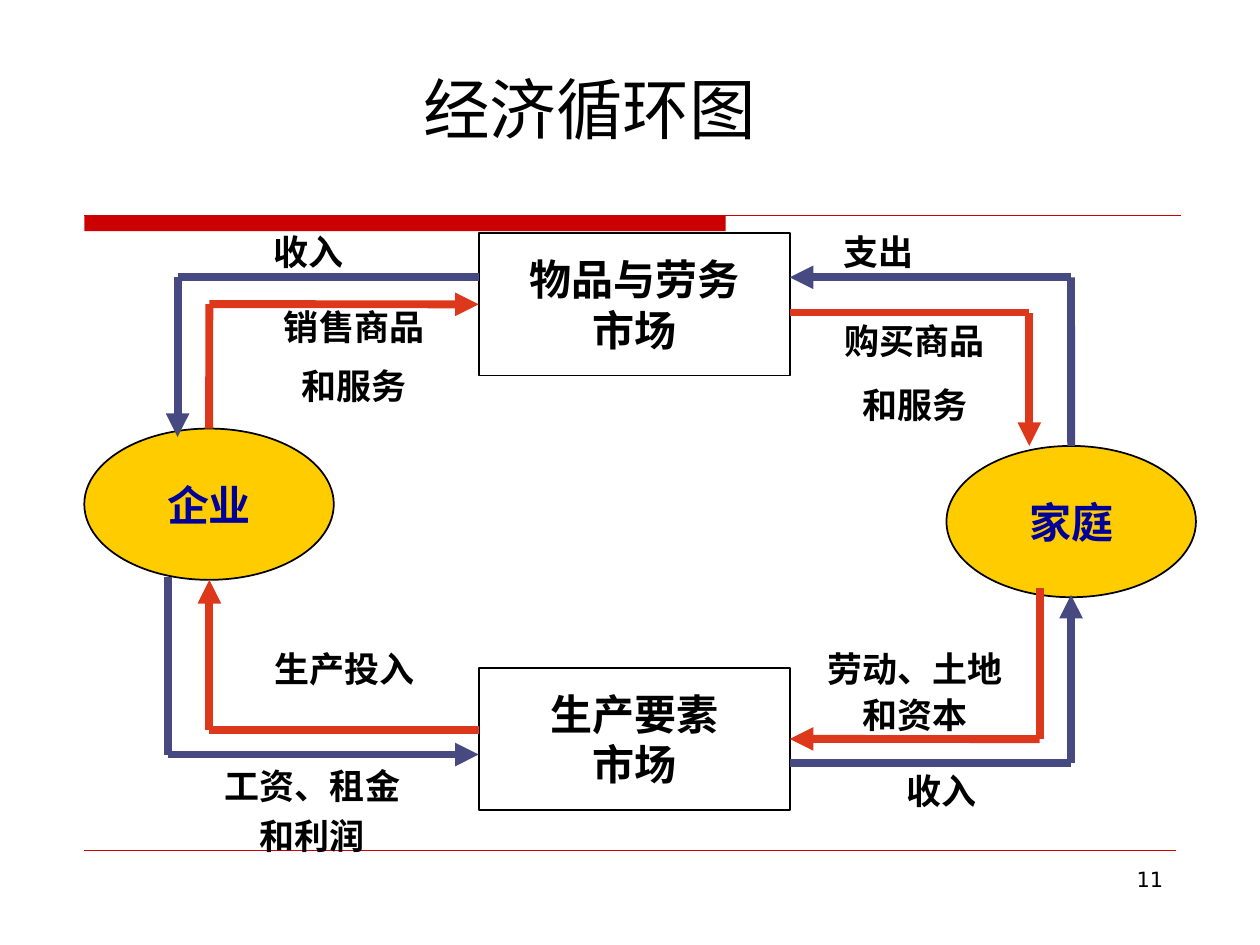
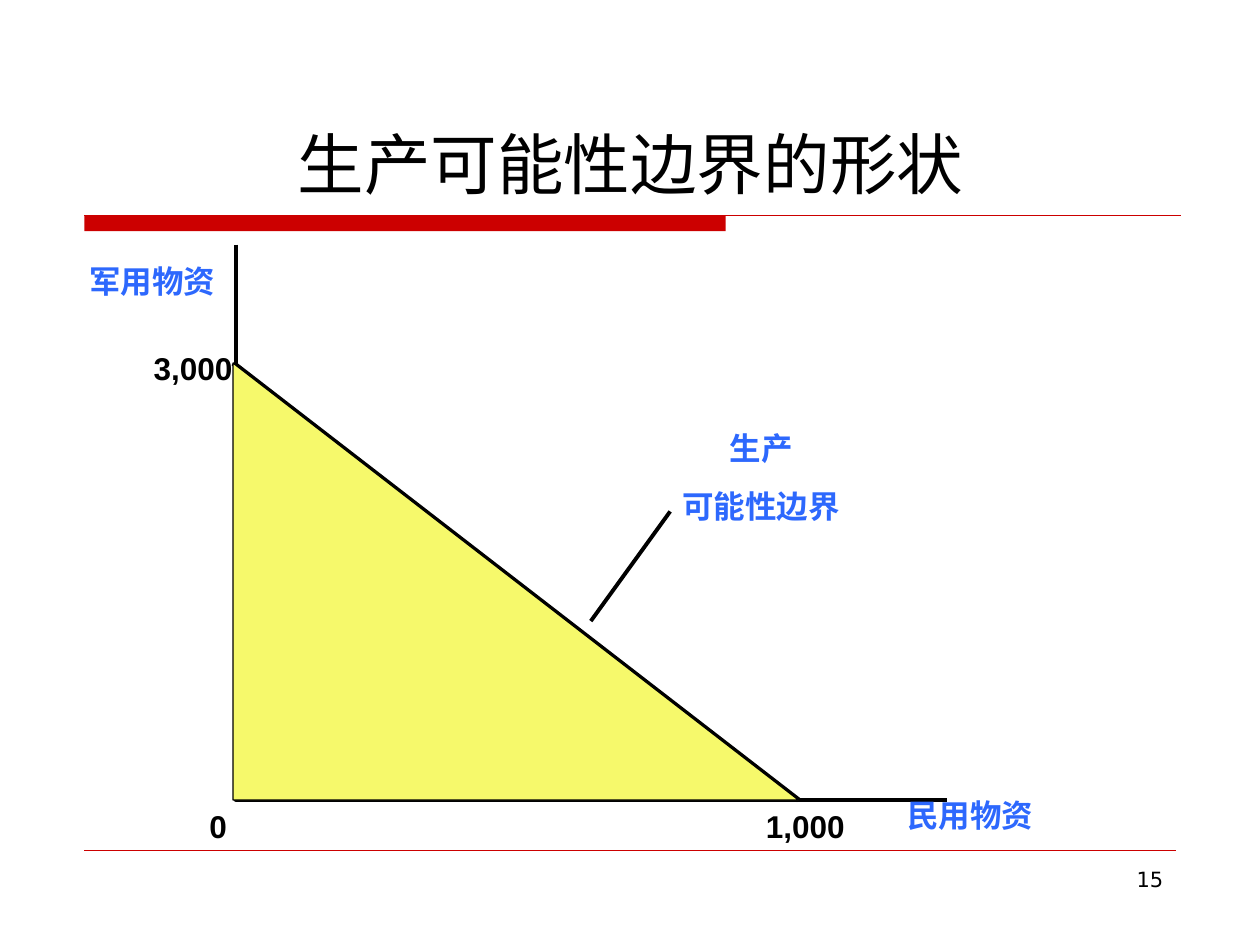
from lxml import etree
from pptx import Presentation
from pptx.dml.color import RGBColor
from pptx.enum.lang import MSO_LANGUAGE_ID
from pptx.enum.shapes import MSO_CONNECTOR, MSO_SHAPE
from pptx.enum.text import MSO_ANCHOR, PP_ALIGN
from pptx.oxml.ns import qn
from pptx.util import Cm, Pt

STRAIGHT = MSO_CONNECTOR.STRAIGHT
RECT, OVAL, TRIANGLE = MSO_SHAPE.RECTANGLE, MSO_SHAPE.OVAL, MSO_SHAPE.RIGHT_TRIANGLE
TOP, MIDDLE, BOTTOM = MSO_ANCHOR.TOP, MSO_ANCHOR.MIDDLE, MSO_ANCHOR.BOTTOM
LEFT, CENTER, RIGHT = PP_ALIGN.LEFT, PP_ALIGN.CENTER, PP_ALIGN.RIGHT
CHINESE = MSO_LANGUAGE_ID.SIMPLIFIED_CHINESE

BLACK = RGBColor(0, 0, 0)
WHITE = RGBColor(0xFF, 0xFF, 0xFF)
RED = RGBColor(0xCC, 0, 0)
GOLD = RGBColor(0xFF, 0xCC, 0)
NAVY = RGBColor(0, 0, 0x99)
MONEY = RGBColor(0x47, 0x4A, 0x81)
GOODS = RGBColor(0xDE, 0x38, 0x1C)
BLUE = RGBColor(0x2D, 0x68, 0xFD)
YELLOW = RGBColor(0xF6, 0xF9, 0x6B)

SERIF, LABEL, NUMBER, PAGE = "Times New Roman", "Cabin", "Arial", "DejaVu Sans"

MARKET_SIZE, ACTOR_SIZE = (6.27, 2.87), (5.03, 3.05)
NODES = {
    "firm": (OVAL, (1.7, 8.64), ACTOR_SIZE, GOLD, NAVY, ["企业"]),
    "household": (OVAL, (19.08, 8.99), ACTOR_SIZE, GOLD, NAVY, ["家庭"]),
    "factor market": (RECT, (9.65, 13.46), MARKET_SIZE, WHITE, BLACK, ["生产要素", "市场"]),
    "goods market": (RECT, (9.65, 4.7), MARKET_SIZE, WHITE, BLACK, ["物品与劳务", "市场"]),
}
MARKET_LEFT, MARKET_RIGHT = 9.65, 15.92
FIRM_X, HOUSEHOLD_X = 4.22, 21.59
FLOWS = [
    (MONEY, [(HOUSEHOLD_X, 8.99), (HOUSEHOLD_X, 5.59), (MARKET_RIGHT, 5.59)],
     ("household", 0), None),
    (MONEY, [(MARKET_LEFT, 5.59), (3.58, 5.59), (3.58, 8.81)], None, None),
    (MONEY, [(3.38, 11.63), (3.38, 15.21), (MARKET_LEFT, 15.21)], None, None),
    (MONEY, [(MARKET_RIGHT, 15.39), (HOUSEHOLD_X, 15.39), (HOUSEHOLD_X, 11.99)], None, None),
    (GOODS, [(MARKET_RIGHT, 6.3), (20.75, 6.3), (20.75, 8.99)], None, None),
    (GOODS, [(FIRM_X, 8.64), (FIRM_X, 6.13), (MARKET_LEFT, 6.13)],
     ("firm", 0), ("goods market", 1)),
    (GOODS, [(20.96, 11.86), (20.96, 14.9), (MARKET_RIGHT, 14.9)],
     None, ("factor market", 3)),
    (GOODS, [(MARKET_LEFT, 14.71), (FIRM_X, 14.71), (FIRM_X, 11.69)], None, None),
]
FLOW_LABELS = [
    (["支出"], (16.76, 4.52, 4.83, 1.12), LEFT, [1]),
    (["收入"], (5.26, 4.52, 4.8, 1.12), LEFT, [1]),
    (["工资、租金", "和利润"], (3.58, 15.39, 5.44, 1.98), CENTER, [0.9, 0.6]),
    (["收入"], (16.56, 15.39, 4.83, 1.12), CENTER, [1]),
    (["销售商品", "和服务"], (4.42, 6.12, 5.44, 2.24), CENTER, [0.9, 0.9]),
    (["购买商品", "和服务"], (15.72, 6.32, 5.44, 2.39), CENTER, [1, 1]),
    (["劳动、土地", "和资本"], (15.72, 12.93, 5.44, 1.98), CENTER, [1, 0.5]),
    (["生产投入"], (4.22, 12.93, 5.44, 1.12), CENTER, [1]),
]

AXES = [(4.75, 4.93), (4.75, 16.13), (19.1, 16.13)]
FRONTIER = [(4.7, 7.32), (16.1, 16.13)]
POINTER = [(13.51, 10.31), (11.91, 12.52)]
TICKS = [
    ("3,000", (3.1, 7.04, 1.6, 0.76)),
    ("0", (4.22, 16.26, 0.36, 0.76)),
    ("1,000", (15.44, 16.26, 1.6, 0.76)),
]
CURVE_LABELS = [
    (["军用物资"], (1.55, 5.16, 3.05, 1.02), False),
    (["民用物资"], (17.7, 15.93, 3.71, 1.02), True),
    (["生产", "可能性边界"], (13.49, 8.53, 3.71, 2.18), True),
]


def write(shape, lines, size=20, font=SERIF, color=BLACK, bold=True, align=CENTER,
          anchor=TOP, wrap=True, gap=0, spacing=None, inset=True):
    tf = shape.text_frame
    tf.word_wrap = wrap
    tf.vertical_anchor = anchor
    if not inset:
        tf.margin_left = tf.margin_right = tf.margin_top = tf.margin_bottom = 0
    for i, line in enumerate(lines):
        p = tf.add_paragraph() if i else tf.paragraphs[0]
        p.alignment = align
        if i and gap:
            p.space_before = Pt(gap)
        if spacing:
            p.line_spacing = float(spacing[i])
        r = p.add_run()
        r.text = line
        r.font.size, r.font.name, r.font.bold = Pt(size), font, bold
        r.font.color.rgb = color
        r.font.language_id = CHINESE


def add_text(s, box, lines, **style):
    write(s.shapes.add_textbox(*map(Cm, box)), lines, **style)


def add_box(s, kind, box, fill, line=BLACK, width=1):
    sp = s.shapes.add_shape(kind, *map(Cm, box))
    sp.shadow.inherit = False
    sp.fill.solid()
    sp.fill.fore_color.rgb = fill
    if line is None:
        sp.line.fill.background()
    else:
        sp.line.color.rgb = line
        sp.line.width = Pt(width)
    return sp


def add_line(s, start, end, color=BLACK, width=2.25, arrow=False):
    c = s.shapes.add_connector(STRAIGHT, *map(Cm, start + end))
    c.line.color.rgb = color
    c.line.width = Pt(width)
    if arrow:
        etree.SubElement(c.line._get_or_add_ln(), qn("a:tailEnd"), type="triangle")
    etree.SubElement(c._element.spPr, qn("a:effectLst"))
    return c


def add_slide(prs, title, title_box, anchor, number):
    s = prs.slides.add_slide(prs.slide_layouts[6])
    add_box(s, RECT, (1.7, 4.34, 12.93, 0.32), RED, line=None)
    add_line(s, (1.7, 4.34), (23.8, 4.34), RED, 0.75)
    add_line(s, (1.7, 17.15), (23.7, 17.15), RED, 0.25)
    add_text(s, (18.2, 17.35, 5.5, 1.32), [number], size=12, font=PAGE, bold=False, align=RIGHT)
    add_text(s, title_box, [title], size=38, bold=False, anchor=anchor)
    return s


def draw_circular_flow(prs):
    s = add_slide(prs, "经济循环图", (1.09, 0.91, 21.59, 2.54), MIDDLE, "11")
    nodes = {}
    for name, (kind, place, size, fill, color, lines) in NODES.items():
        nodes[name] = add_box(s, kind, place + size, fill)
        write(nodes[name], lines, size=24, color=color, anchor=MIDDLE, wrap=False)
    for color, (start, corner, end), source, target in FLOWS:
        first = add_line(s, start, corner, color, 4.5)
        last = add_line(s, corner, end, color, 4.5, arrow=True)
        if source:
            first.begin_connect(nodes[source[0]], source[1])
        if target:
            last.end_connect(nodes[target[0]], target[1])
    for lines, box, align, spacing in FLOW_LABELS:
        add_text(s, box, lines, font=LABEL, align=align, gap=12.5, spacing=spacing)


def draw_frontier(prs):
    s = add_slide(prs, "生产可能性边界的形状", (1.6, 0.84, 22.23, 3.38), BOTTOM, "15")
    points = [(Cm(x), Cm(y)) for x, y in AXES]
    builder = s.shapes.build_freeform(*points[0])
    builder.add_line_segments(points[1:], close=False)
    axes = builder.convert_to_shape()
    axes.shadow.inherit = False
    axes.fill.background()
    axes.line.color.rgb = BLACK
    axes.line.width = Pt(2.25)
    for tick, box in TICKS:
        add_text(s, box, [tick], size=18, font=NUMBER, align=LEFT, wrap=False, inset=False)
    add_line(s, *POINTER)
    for lines, box, wrap in CURVE_LABELS:
        add_text(s, box, lines, size=18, color=BLUE, wrap=wrap, gap=11.2)
    add_line(s, *FRONTIER, width=3)
    (left, top), (right, bottom) = FRONTIER
    add_box(s, TRIANGLE, (left, top, right - left, bottom - top), YELLOW, width=0.75)


def main():
    prs = Presentation()
    prs.slide_width, prs.slide_height = Cm(25.4), Cm(19.05)
    draw_circular_flow(prs)
    draw_frontier(prs)
    prs.save("out.pptx")


if __name__ == "__main__":
    main()
